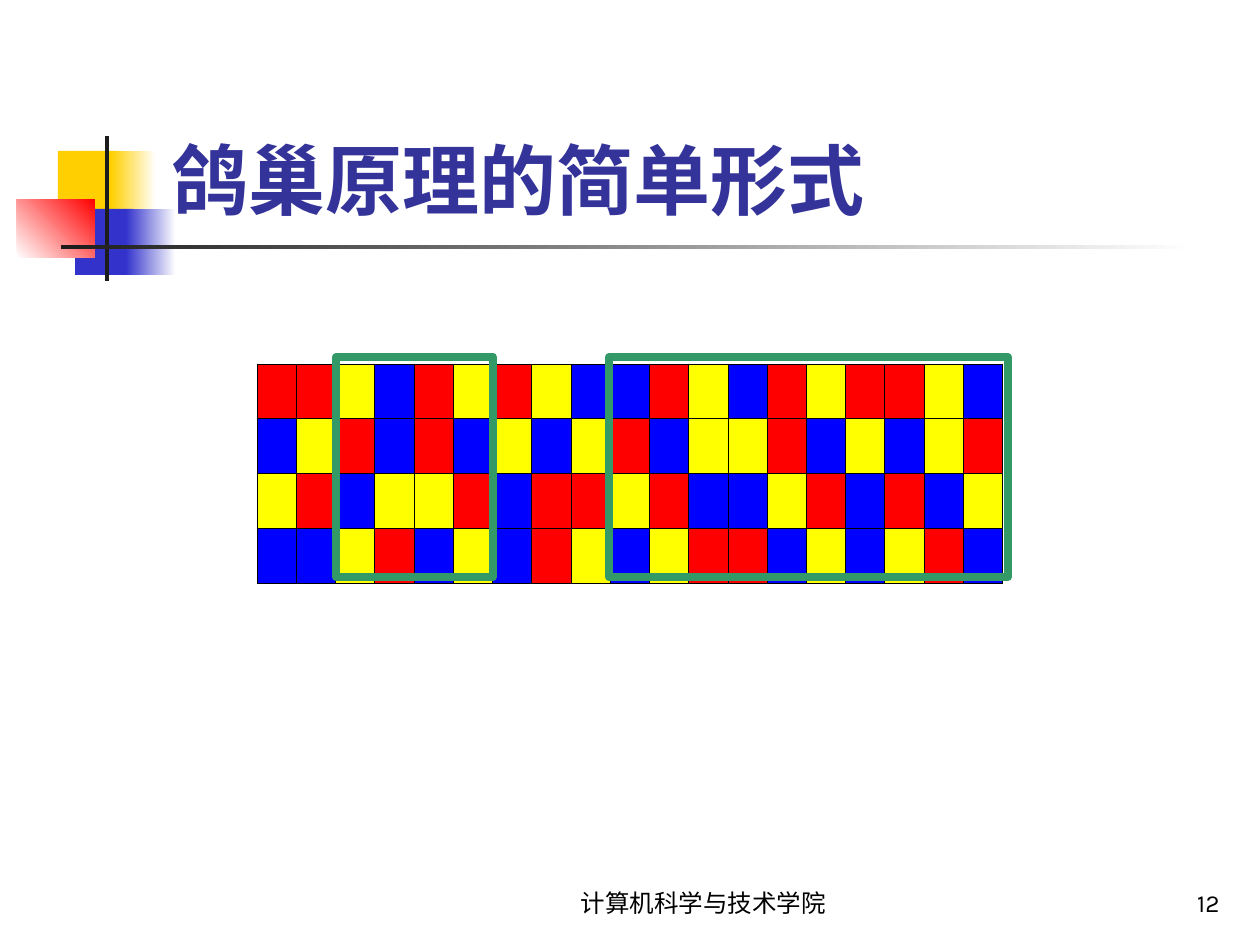
from lxml import etree
from pptx import Presentation
from pptx.dml.color import RGBColor
from pptx.enum.shapes import MSO_SHAPE
from pptx.enum.text import MSO_ANCHOR, PP_ALIGN
from pptx.oxml import parse_xml
from pptx.oxml.ns import nsdecls, qn
from pptx.util import Pt

PX = 914400 / 126
COLORS = {
    "gold": "FFCF01", "indigo": "3333CC", "ink": "1C1C1C", "white": "FFFFFF",
    "red": "FF0000", "yellow": "FFFF00", "blue": "0000FF",
    "frame": "339966", "title": "333399", "black": "000000",
}
RGB = {name: RGBColor.from_string(value) for name, value in COLORS.items()}


def add_rectangle(*box):
    rectangle = slide.shapes.add_shape(MSO_SHAPE.RECTANGLE, *[round(v * PX) for v in box])
    rectangle.shadow.inherit = False
    rectangle.line.fill.background()
    return rectangle


def add_label(text, box, size, font, color, align, bold=False):
    label = slide.shapes.add_textbox(*[round(v * PX) for v in box])
    frame = label.text_frame
    frame.word_wrap = True
    frame.vertical_anchor = MSO_ANCHOR.BOTTOM
    paragraph = frame.paragraphs[0]
    paragraph.text = text
    paragraph.alignment = align
    paragraph.font.size = Pt(size)
    paragraph.font.name = font
    paragraph.font.bold = bold
    paragraph.font.color.rgb = RGB[color]
    east_asian = etree.SubElement(paragraph.font._element, qn("a:ea"))
    east_asian.set("typeface", "Noto Sans CJK SC")


deck = Presentation()
deck.slide_width = round(1260 * PX)
deck.slide_height = round(945 * PX)
slide = deck.slides.add_slide(deck.slide_layouts[6])

# Corner ornament: box, start colour, end colour, gradient angle
ornament = [
    ((58, 151, 60, 66), "gold", "gold", 0),
    ((111, 151, 45, 66), "gold", "white", 0),
    ((75, 209, 58, 66), "indigo", "indigo", 0),
    ((126, 209, 50, 66), "indigo", "white", 0),
    ((17, 199, 78, 59), "white", "red", 45),
    ((105, 136, 4, 145), "ink", "ink", 0),
    ((61, 245, 1134, 4), "ink", "white", 0),
]
for box, start, end, angle in ornament:
    fill = add_rectangle(*box).fill
    if start == end:
        fill.solid()
        fill.fore_color.rgb = RGB[start]
    else:
        fill.gradient()
        fill.gradient_angle = angle
        for stop, color in zip(fill.gradient_stops, (start, end)):
            stop.color.rgb = RGB[color]

add_label("计算机科学与技术学院", (504, 861, 399, 63), 14, "Karla", "black", PP_ALIGN.CENTER)
add_label("12", (970, 861, 262, 63), 14, "Karla", "black", PP_ALIGN.RIGHT)
add_label("鸽巢原理的简单形式", (159, 29, 1073, 202), 44, "Noto Sans CJK SC", "title",
          PP_ALIGN.LEFT, bold=True)

# Coloured grid: one letter per cell
grid_rows = [
    "RRYBRYRYBBRYBRYRRYB",
    "BYRBRBYBYRBYYRBYBYR",
    "YRBYYRBRRYRBBYRBRBY",
    "BBYRBYBRYBYRRBYBYRB",
]
cell_colors = {"R": "red", "Y": "yellow", "B": "blue"}
row_count, column_count = len(grid_rows), len(grid_rows[0])
grid_width, grid_height = round(746 * PX), round(219 * PX)
grid = slide.shapes.add_table(row_count, column_count, round(257 * PX), round(364 * PX),
                              grid_width, grid_height).table
for column in grid.columns:
    column.width = grid_width // column_count
for row, letters in zip(grid.rows, grid_rows):
    row.height = grid_height // row_count
    for cell, letter in zip(row.cells, letters):
        cell.text_frame.paragraphs[0].font.size = Pt(12)
        cell.fill.solid()
        cell.fill.fore_color.rgb = RGB[cell_colors[letter]]
        for position, side in enumerate(("lnL", "lnR", "lnT", "lnB")):
            border = parse_xml(
                f'<a:{side} {nsdecls("a")} w="{Pt(0.45)}"><a:solidFill>'
                f'<a:srgbClr val="{COLORS["black"]}"/></a:solidFill></a:{side}>')
            cell._tc.get_or_add_tcPr().insert(position, border)

# Frames around the two column ranges
for left, width in ((336, 157), (609, 399)):
    frame = add_rectangle(left, 357, width, 220)
    frame.fill.background()
    frame.line.color.rgb = RGB["frame"]
    frame.line.width = Pt(4.5)

deck.save("out.pptx")
